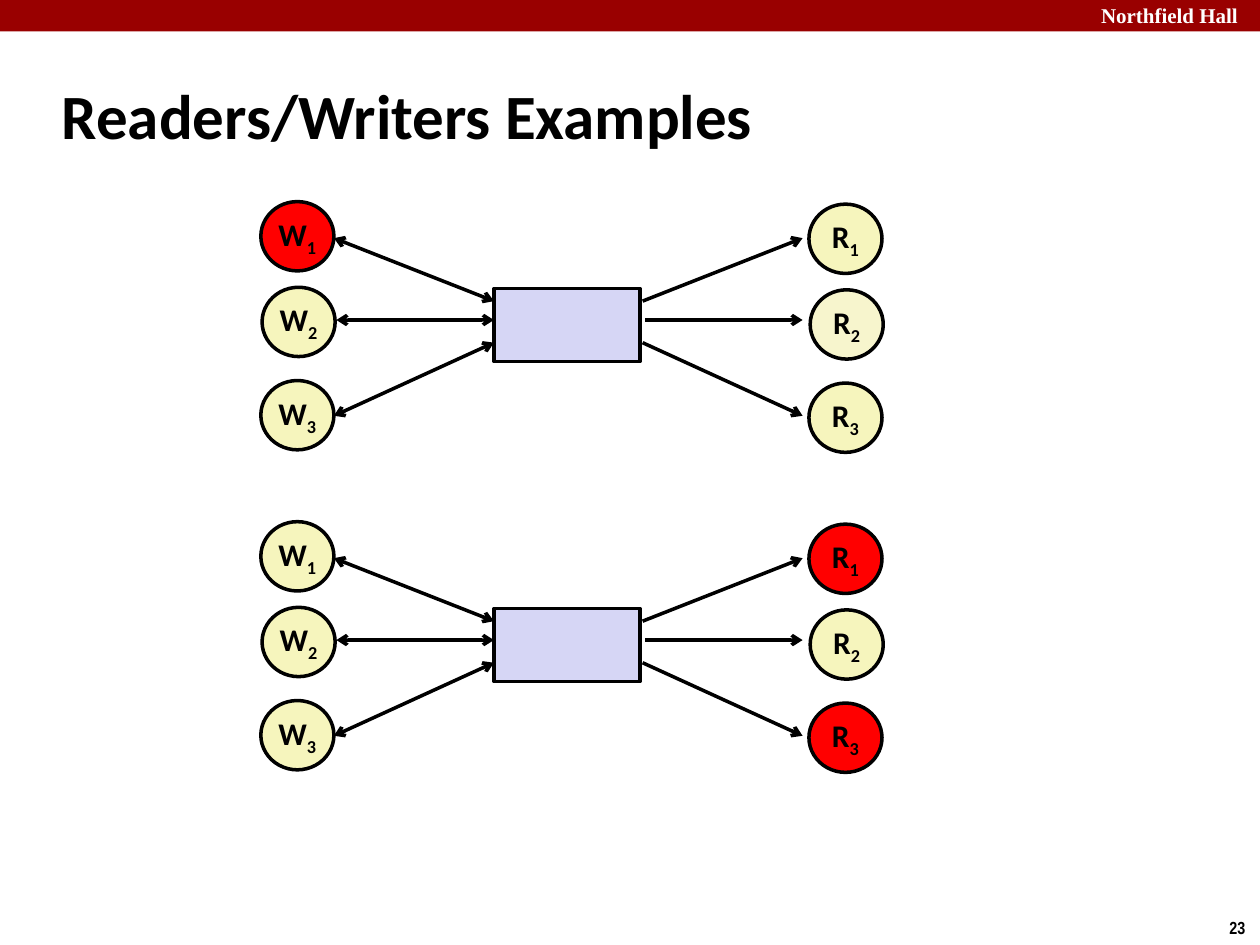
from lxml.etree import SubElement
from pptx import Presentation
from pptx.dml.color import RGBColor
from pptx.enum.shapes import MSO_CONNECTOR, MSO_SHAPE
from pptx.enum.text import MSO_ANCHOR, MSO_AUTO_SIZE, PP_ALIGN
from pptx.oxml.ns import qn
from pptx.util import Inches, Pt

BLACK, WHITE, BANNER = "000000", "FFFFFF", "990000"
ACTIVE, IDLE, PALE, SHARED = "FF0000", "F6F5BD", "F7F5CD", "D6D6F5"

# Grid of one example, in inches; the second example is one step lower
EXAMPLE_STEP = 2.54
CIRCLE_ROWS = (1.6, 2.28, 3.02)
CIRCLE_SHIFTS = (0, 0.01, 0)
CIRCLE_SIZE = (0.58, 0.55)
WRITER_COLUMN, READER_COLUMN, READER_DROP = 2.07, 6.42, 0.02
ARROW_OUTER_ROWS = (1.89, 2.54, 3.3)
ARROW_INNER_ROWS = (2.39, 2.54, 2.72)
WRITER_ARROW_STARTS = (2.65, 2.67, 2.65)
READER_ARROW_ENDS = (5.1, 5.12, 5.1)
BOX_LEFT, BOX_TOP, BOX_WIDTH, BOX_HEIGHT = 3.92, 2.29, 1.16, 0.58

EXAMPLES = (
    {"W": (ACTIVE, IDLE, IDLE), "R": (IDLE, PALE, IDLE)},
    {"W": (IDLE, IDLE, IDLE), "R": (ACTIVE, IDLE, ACTIVE)},
)


def color(value):
    return RGBColor.from_string(value)


def set_all(target, values):
    for name, value in values.items():
        setattr(target, name, value)


def add_span(para, text, size, font="Calibri", ink=BLACK):
    span = para.add_run()
    span.text = text
    set_all(span.font, {"name": font, "size": Pt(size), "bold": True})
    span.font.color.rgb = color(ink)
    return span


def set_outline(line):
    line.color.rgb = color(BLACK)
    line.width = Pt(2)


def add_block(page, kind, place, fill, outlined=True):
    block = page.shapes.add_shape(kind, *map(Inches, place))
    block.shadow.inherit = False
    block.fill.solid()
    block.fill.fore_color.rgb = color(fill)
    if outlined:
        set_outline(block.line)
    else:
        block.line.fill.background()
    return block


def add_label(page, place, text, size, font, ink):
    box = page.shapes.add_textbox(*map(Inches, place))
    box.text_frame.word_wrap = False
    add_span(box.text_frame.paragraphs[0], text, size, font, ink)


def add_circle(page, left, top, letter, number, fill):
    circle = add_block(page, MSO_SHAPE.OVAL, (left, top, *CIRCLE_SIZE), fill)
    set_all(circle.text_frame, {
        "word_wrap": False, "vertical_anchor": MSO_ANCHOR.MIDDLE,
        "margin_top": 0, "margin_bottom": 0,
    })
    para = circle.text_frame.paragraphs[0]
    para.alignment = PP_ALIGN.CENTER
    add_span(para, letter, 18)
    subscript = add_span(para, str(number), 18)
    subscript.font._element.set("baseline", "-25000")


def add_arrow(page, start, end, ends):
    arrow = page.shapes.add_connector(
        MSO_CONNECTOR.STRAIGHT, *map(Inches, (*start, *end)))
    set_outline(arrow.line)
    line = arrow.line._get_or_add_ln()
    for tag in ends:
        SubElement(line, qn(tag), type="arrow")
    SubElement(arrow._element.spPr, qn("a:effectLst"))


def add_example(page, drop, fills):
    # Shared resource
    add_block(page, MSO_SHAPE.RECTANGLE,
              (BOX_LEFT, BOX_TOP + drop, BOX_WIDTH, BOX_HEIGHT), SHARED)
    for i in range(3):
        top, shift = CIRCLE_ROWS[i] + drop, CIRCLE_SHIFTS[i]
        outer, inner = ARROW_OUTER_ROWS[i] + drop, ARROW_INNER_ROWS[i] + drop
        # Writer with a two-way arrow
        add_circle(page, WRITER_COLUMN + shift, top, "W", i + 1, fills["W"][i])
        add_arrow(page, (WRITER_ARROW_STARTS[i], outer), (BOX_LEFT, inner),
                  ("a:headEnd", "a:tailEnd"))
        # Reader with a one-way arrow
        add_circle(page, READER_COLUMN + shift, top + READER_DROP,
                   "R", i + 1, fills["R"][i])
        add_arrow(page, (6.37, outer), (READER_ARROW_ENDS[i], inner),
                  ("a:headEnd",))


def add_title(page, text):
    title = page.shapes.title
    set_all(title, {"left": Inches(0.39), "top": Inches(0.49),
                    "width": Inches(8.3), "height": Inches(0.83)})
    set_all(title.text_frame, {"vertical_anchor": MSO_ANCHOR.MIDDLE,
                               "auto_size": MSO_AUTO_SIZE.NONE})
    para = title.text_frame.paragraphs[0]
    para.alignment = PP_ALIGN.LEFT
    add_span(para, text, 36)


def main():
    deck = Presentation()
    set_all(deck, {"slide_width": Inches(10), "slide_height": Inches(7.5)})
    page = deck.slides.add_slide(deck.slide_layouts[5])

    # Banner, page number and title
    add_block(page, MSO_SHAPE.RECTANGLE, (0, 0, 10, 0.25), BANNER, False)
    add_label(page, (8.64, -0.03, 1.43, 0.3), "Northfield Hall", 12,
              "Times New Roman", WHITE)
    add_label(page, (9.66, 7.23, 0.34, 0.27), "23", 10, "Arial Narrow", BLACK)
    add_title(page, "Readers/Writers Examples")

    # One diagram per example
    for row, fills in enumerate(EXAMPLES):
        add_example(page, row * EXAMPLE_STEP, fills)
    deck.save("out.pptx")


if __name__ == "__main__":
    main()
